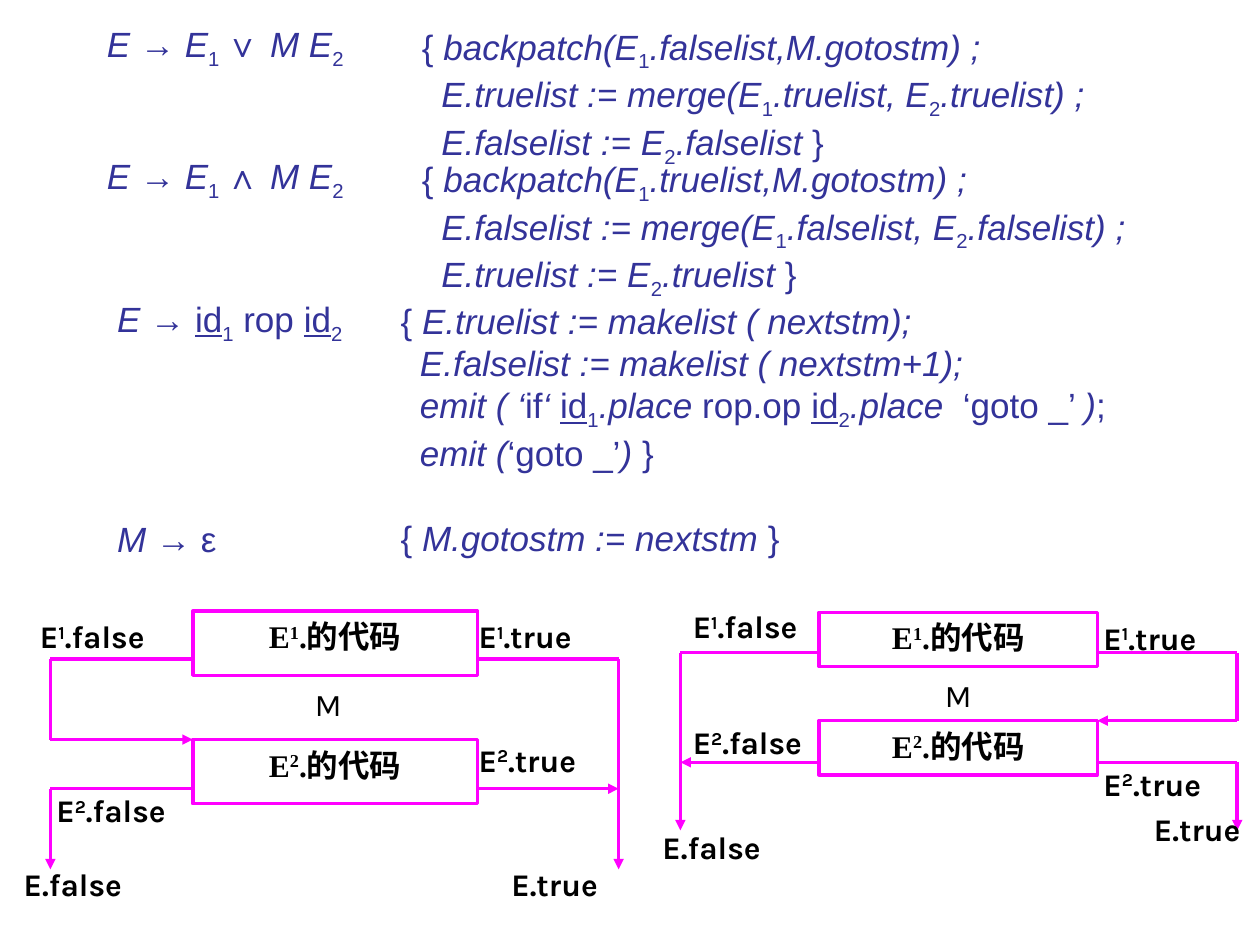
import pptx
import pptx.dml.color
import pptx.enum.shapes
import pptx.enum.text
import pptx.oxml.ns
import pptx.util
from lxml import etree

Pt = pptx.util.Pt
RGB = pptx.dml.color.RGBColor
NAVY = RGB(0x33, 0x33, 0x99)
PINK = RGB(0xFF, 0x00, 0xFF)
GREEN = RGB(0x6B, 0xBA, 0x27)
BLACK = RGB(0, 0, 0)
WHITE = RGB(0xFF, 0xFF, 0xFF)
WIDE, HIGH = 720, 540
INDENT = 11.1
MARKS = "*#~^"

RULES = [
    (54, 9.4, "*E *→* E*~1 ~∨ *M E*~2~",
     234, 10.8, ["{ *backpatch(E*~1~*.falselist,M.gotostm) ;*",
                 "*E.truelist := merge(E*~1~*.truelist, E*~2~*.truelist) ;*",
                 "*E.falselist := E*~2~*.falselist *}"]),
    (54, 85, "*E *→* E*~1 ~∧ *M E*~2~",
     234, 86.4, ["{ *backpatch(E*~1~*.truelist,M.gotostm) ;*",
                 "*E.falselist := merge(E*~1~*.falselist, E*~2~*.falselist) ;*",
                 "*E.truelist := E*~2~*.truelist *}"]),
    (59.8, 166.4, "*E *→ #id#~1~ rop #id#~2~",
     221.8, 167.8, ["{ *E.truelist := makelist ( nextstm);*",
                    "*E.falselist := makelist ( nextstm+1);*",
                    "*emit ( ‘*if*‘ *#id#~1~*.place *rop.op #id#~2~*.place  *‘goto _’ *)*;",
                    "*emit (*‘goto _’*) *}"]),
    (59.8, 292.3, "*M *→ ε", 221.8, 291.6, ["{ *M.gotostm := nextstm *}"]),
]

OR_BLOCKS = (81.4, 162.7, 36.7, 73.4)
OR_LINES = [
    [(81.4, 27.4), (0, 27.4), (0, 73.4), (81.4, 73.4)],
    [(81.4, 101.5), (0, 101.5), (0, 147.6)],
    [(243.4, 27.4), (324.7, 27.4), (324.7, 147.6)],
    [(243.4, 101.5), (324.7, 101.5)],
]
OR_LABELS = [
    (-13, 0, "E^1^.false"), (-3.6, 99.4, "E^2^.false"), (-22.3, 141.8, "E.false"),
    (237.6, 0, "E^1^.true"), (237.6, 70.6, "E^2^.true"), (256.3, 141.8, "E.true"),
    (144, 38.9, "M"),
]
AND_BLOCKS = (79.2, 159.1, 31, 61.9)
AND_LINES = [
    [(79.2, 23), (0, 23), (0, 124.6)],
    [(79.2, 85.7), (0, 85.7)],
    [(238.3, 23), (318.2, 23), (318.2, 61.9), (238.3, 61.9)],
    [(238.3, 85.7), (318.2, 85.7), (318.2, 124.6)],
]
AND_LABELS = [
    (0, -6.5, "E^1^.false"), (0, 59.8, "E^2^.false"), (-17.3, 119.5, "E.false"),
    (234.7, 0, "E^1^.true"), (234.7, 83.5, "E^2^.true"), (263.5, 109.4, "E.true"),
    (144, 33.1, "M"),
]


def write(para, text, face, size, color, bold=False):
    """Write marked text: * italic, # underline, ~ subscript, ^ superscript."""
    state = dict.fromkeys(MARKS, False)
    part = ""
    for char in text + "\0":
        if char not in MARKS and char != "\0":
            part += char
            continue
        if part:
            run = para.add_run()
            run.text = part
            font = run.font
            font.name, font.size, font.bold = face, Pt(size), bold
            font.color.rgb = color
            font.italic, font.underline = state["*"], state["#"]
            if state["~"] or state["^"]:
                shift = "-25000" if state["~"] else "30000"
                run._r.get_or_add_rPr().set("baseline", shift)
            part = ""
        if char in MARKS:
            state[char] = not state[char]


def text(slide, box, lines, *style):
    """Add a text box whose lines after the first are indented."""
    frame = slide.shapes.add_textbox(*map(Pt, box)).text_frame
    frame.word_wrap = True
    for i, line in enumerate(lines):
        para = frame.add_paragraph() if i else frame.paragraphs[0]
        if i:
            para._p.get_or_add_pPr().set("marL", str(Pt(INDENT)))
        write(para, line, *style)


def rule(slide, box, head, acts):
    """Add a production with its actions to the right."""
    x, y, gap, drop = box
    text(slide, (x, y, 168, 34), [head], "Arial", 20, NAVY)
    text(slide, (x + gap, y + drop, 432, 34 * len(acts)), acts, "Arial", 20, NAVY)


def block(slide, box, label):
    """Add an outlined code block."""
    rect = slide.shapes.add_shape(pptx.enum.shapes.MSO_SHAPE.RECTANGLE, *map(Pt, box))
    rect.shadow.inherit = False
    rect.fill.solid()
    rect.fill.fore_color.rgb = WHITE
    rect.line.color.rgb = PINK
    rect.line.width = Pt(2)
    frame = rect.text_frame
    frame.vertical_anchor = pptx.enum.text.MSO_ANCHOR.TOP
    para = frame.paragraphs[0]
    para.alignment = pptx.enum.text.PP_ALIGN.CENTER
    write(para, label, "Times New Roman", 18, BLACK, True)


def route(slide, left, top, stops):
    """Join the stops with straight lines, the last with an arrowhead."""
    qn = pptx.oxml.ns.qn
    for i, (a, b) in enumerate(zip(stops, stops[1:]), 2):
        ends = (left + a[0], top + a[1], left + b[0], top + b[1])
        line = slide.shapes.add_connector(
            pptx.enum.shapes.MSO_CONNECTOR.STRAIGHT, *map(Pt, ends))
        line.line.color.rgb = PINK
        line.line.width = Pt(2)
        if i == len(stops):
            etree.SubElement(line.line._get_or_add_ln(), qn("a:tailEnd"), type="triangle")
        etree.SubElement(line._element.spPr, qn("a:effectLst"))


def flow(slide, box, blocks, lines, labels):
    """Draw a flow of two code blocks with its jumps and labels."""
    left, top = box
    x, wide, high, step = blocks
    for i in range(2):
        block(slide, (left + x, top + i * step, wide, high), f"E^{i + 1}^.的代码")
    for stops in lines:
        route(slide, left, top, stops)
    for x, y, label in labels:
        room = min(102, WIDE - left - x)
        text(slide, (left + x, top + y, room, 29), [label],
             "Karla", 18, BLACK, label != "M")


def edge(slide, box):
    """Draw the thin upright edge at the left."""
    x, y, high = box
    path = slide.shapes.build_freeform(Pt(x), Pt(y))
    path.add_line_segments([(Pt(x), Pt(y + high))], close=True)
    form = path.convert_to_shape()
    form.shadow.inherit = False
    form.fill.solid()
    form.fill.fore_color.rgb = GREEN
    form.line.fill.background()


def main():
    """Build and save the slide."""
    deck = pptx.Presentation()
    deck.slide_width, deck.slide_height = Pt(WIDE), Pt(HIGH)
    slide = deck.slides.add_slide(deck.slide_layouts[6])
    edge(slide, (22.3, 221, 239))
    for x, y, head, right, top, acts in RULES:
        rule(slide, (x, y, right - x, top - y), head, acts)
    flow(slide, (28.8, 349.2), OR_BLOCKS, OR_LINES, OR_LABELS)
    flow(slide, (388.8, 349.9), AND_BLOCKS, AND_LINES, AND_LABELS)
    deck.save("out.pptx")


if __name__ == "__main__":
    main()
